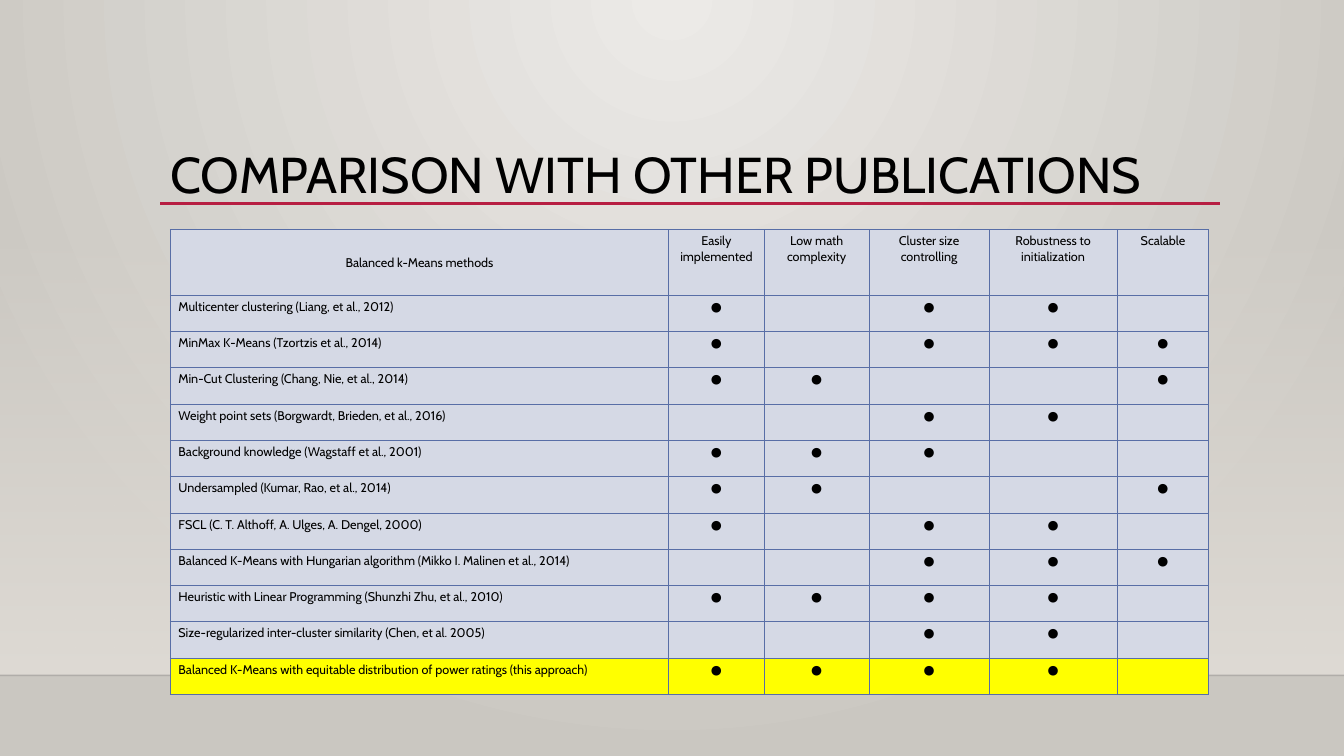
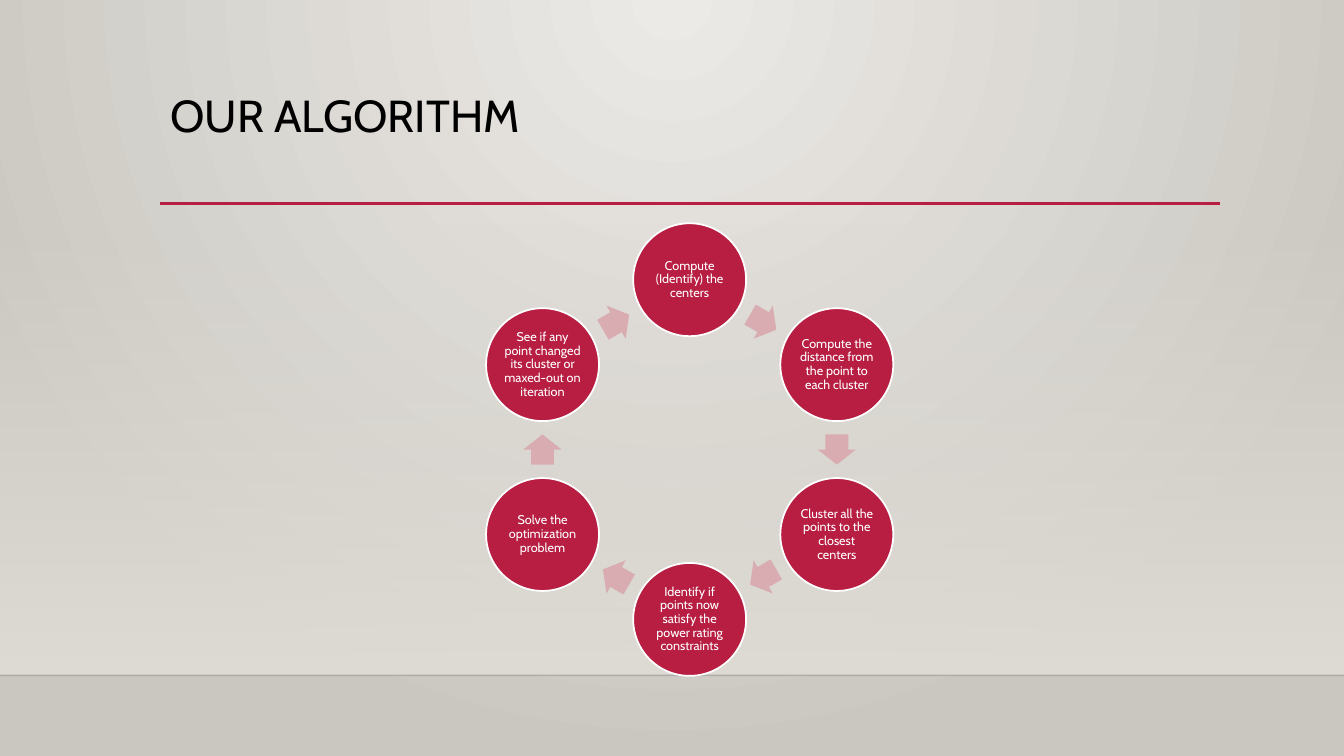
from math import cos, radians, sin

from lxml.etree import SubElement
from pptx import Presentation
from pptx.dml.color import RGBColor
from pptx.enum.shapes import MSO_CONNECTOR, MSO_SHAPE
from pptx.enum.text import MSO_ANCHOR as Anchor, PP_ALIGN as Align
from pptx.oxml.ns import qn
from pptx.util import Inches, Pt

FONT = "Cabin"
BLACK, WHITE = "000000", "FFFFFF"
CRIMSON, PINK = "B71E42", "D8ACB0"
CELL_FILL, CELL_BORDER, HIGHLIGHT = "D5D9E5", "586EA6", "FFFF00"
WALL_LIGHT, WALL_DARK, WALL_BAND = "ECEAE7", "CAC7C1", "DFDBD5"
WIDTH, HEIGHT = 13.33, 7.5
FLOOR_TOP = 6.7

COLUMN_WIDTHS = [4.94, 0.95, 1.04, 1.19, 1.27, 0.91]
HEADER_HEIGHT, ROW_HEIGHT = 0.65, 0.36
HEADERS = ["Balanced k-Means methods", "Easily implemented", "Low math complexity",
           "Cluster size controlling", "Robustness to initialization", "Scalable"]
# Each digit says whether the method has the property of that column.
METHODS = [
    ("Multicenter clustering (Liang, et al., 2012)", "10110"),
    ("MinMax K-Means (Tzortzis et al., 2014)", "10111"),
    ("Min-Cut Clustering (Chang, Nie, et al., 2014)", "11001"),
    ("Weight point sets (Borgwardt, Brieden, et al., 2016)", "00110"),
    ("Background knowledge (Wagstaff et al., 2001)", "11100"),
    ("Undersampled (Kumar, Rao, et al., 2014)", "11001"),
    ("FSCL (C. T. Althoff, A. Ulges, A. Dengel, 2000)", "10110"),
    ("Balanced K-Means with Hungarian algorithm (Mikko I. Malinen et al., 2014)", "00111"),
    ("Heuristic with Linear Programming (Shunzhi Zhu, et al., 2010)", "11110"),
    ("Size-regularized inter-cluster similarity (Chen, et al. 2005)", "00110"),
    ("Balanced K-Means with equitable distribution of power ratings (this approach)", "11110"),
]
STEPS = [
    "Compute (Identify) the centers",
    "Compute the distance from the point to each cluster",
    "Cluster all the points to the closest centers",
    "Identify if points now satisfy the power rating constraints",
    "Solve the optimization problem",
    "See if any point changed its cluster or maxed-out on iteration",
]


def rgb(color):
    return RGBColor.from_string(color)


def set_alpha(color_parent, percent):
    """Set the opacity of the RGB colour found under an XML element."""
    color = next(color_parent.iter(qn("a:srgbClr")))
    SubElement(color, qn("a:alpha")).set("val", str(percent * 1000))


def set_gradient(fill, *colors):
    """Give a fill a two-stop gradient and return its XML element."""
    fill.gradient()
    for stop, color in zip(fill.gradient_stops, colors):
        stop.color.rgb = rgb(color)
    return fill._xPr.find(qn("a:gradFill"))


def write(frame, text, size, color=BLACK, align=Align.LEFT, spacing=None):
    para = frame.paragraphs[0]
    para.alignment = align
    para.line_spacing = spacing
    span = para.add_run()
    span.text = text
    span.font.size = Pt(size)
    span.font.name = FONT
    span.font.color.rgb = rgb(color)


def set_margins(holder, horizontal, vertical):
    holder.margin_left = holder.margin_right = Inches(horizontal)
    holder.margin_top = holder.margin_bottom = Inches(vertical)


def add_shape(page, kind, left, top, width, height):
    shape = page.shapes.add_shape(kind, Inches(left), Inches(top), Inches(width), Inches(height))
    shape.shadow.inherit = False
    shape.line.fill.background()
    return shape


def add_rule(page, left, right, y, color, weight):
    rule = page.shapes.add_connector(MSO_CONNECTOR.STRAIGHT, Inches(left), Inches(y),
                                     Inches(right), Inches(y))
    rule.line.color.rgb = rgb(color)
    rule.line.width = Pt(weight)
    SubElement(rule._element.spPr, qn("a:effectLst"))
    return rule


def set_background(master):
    """Shade the master from a light spot at the top centre."""
    gradient = set_gradient(master.background.fill, WALL_LIGHT, WALL_DARK)
    gradient.remove(gradient.find(qn("a:lin")))
    spread = SubElement(gradient, qn("a:path"))
    spread.set("path", "circle")
    focus = SubElement(spread, qn("a:fillToRect"))
    for side, value in zip("ltrb", (43, 0, 43, 100)):
        focus.set(side, str(value * 1000))


def add_page(deck, title, size, anchor, bottom_margin):
    """Add a slide with the shared wall, floor line, title and rule."""
    page = deck.slides.add_slide(deck.slide_layouts[6])
    wall = add_shape(page, MSO_SHAPE.RECTANGLE, 0, 2.21, WIDTH, FLOOR_TOP - 2.21)
    gradient = set_gradient(wall.fill, WALL_BAND, WALL_BAND)
    wall.fill.gradient_angle = 270
    set_alpha(gradient, 0)
    floor_line = add_rule(page, 0, WIDTH, FLOOR_TOP, "000001", 1)
    set_alpha(floor_line._element.spPr, 20)
    add_rule(page, 1.59, 12.1, 2.02, CRIMSON, 2.5)

    box = page.shapes.add_textbox(Inches(1.59), Inches(0.88), Inches(10.5), Inches(1.15))
    frame = box.text_frame
    frame.word_wrap = True
    frame.vertical_anchor = anchor
    set_margins(frame, 0.1, 0.05)
    frame.margin_bottom = Inches(bottom_margin)
    write(frame, title, size, spacing=0.9)
    return page


def set_borders(cell):
    properties = cell._tc.get_or_add_tcPr()
    for index, side in enumerate(("a:lnL", "a:lnR", "a:lnT", "a:lnB")):
        line = properties.makeelement(qn(side), {"w": str(Pt(0.75))})
        color = SubElement(SubElement(line, qn("a:solidFill")), qn("a:srgbClr"))
        color.set("val", CELL_BORDER)
        properties.insert(index, line)


def fill_cell(cell, text, align, fill):
    set_margins(cell, 0.08, 0.04)
    cell.fill.solid()
    cell.fill.fore_color.rgb = rgb(fill)
    set_borders(cell)
    if text:
        write(cell.text_frame, text, 9, align=align)
    else:
        end = cell.text_frame.paragraphs[0]._p.get_or_add_endParaRPr()
        end.set("sz", "900")


def add_comparison(page):
    rows = [HEADERS]
    rows += [[name] + ["●" if flag == "1" else "" for flag in flags] for name, flags in METHODS]
    height = HEADER_HEIGHT + ROW_HEIGHT * len(METHODS)
    table = page.shapes.add_table(len(rows), len(HEADERS), Inches(1.69), Inches(2.28),
                                  Inches(sum(COLUMN_WIDTHS)), Inches(height)).table
    table.first_row = table.horz_banding = False
    for column, width in zip(table.columns, COLUMN_WIDTHS):
        column.width = Inches(width)
    for i, texts in enumerate(rows):
        table.rows[i].height = Inches(ROW_HEIGHT if i else HEADER_HEIGHT)
        fill = HIGHLIGHT if i == len(METHODS) else CELL_FILL
        for j, text in enumerate(texts):
            align = Align.LEFT if i and j == 0 else Align.CENTER
            fill_cell(table.cell(i, j), text, align, fill)
    table.cell(0, 0).vertical_anchor = Anchor.MIDDLE


def add_step(page, x, y, text):
    size = 1.12
    circle = add_shape(page, MSO_SHAPE.OVAL, x - size / 2, y - size / 2, size, size)
    circle.fill.solid()
    circle.fill.fore_color.rgb = rgb(CRIMSON)
    circle.line.color.rgb = rgb(WHITE)
    circle.line.width = Pt(1.25)
    frame = circle.text_frame
    frame.word_wrap = True
    frame.vertical_anchor = Anchor.MIDDLE
    set_margins(frame, 0.01, 0.01)
    write(frame, text, 9, WHITE, Align.CENTER, 0.9)


def add_arrow(page, x, y, rotation):
    width, height = 0.3, 0.38
    arrow = add_shape(page, MSO_SHAPE.RIGHT_ARROW, x - width / 2, y - height / 2, width, height)
    arrow.adjustments[0] = 0.6
    arrow.adjustments[1] = 0.5
    arrow.rotation = rotation
    arrow.fill.solid()
    arrow.fill.fore_color.rgb = rgb(PINK)


def add_cycle(page, steps):
    """Place the steps clockwise on a ring, with an arrow after each."""
    center_x, center_y, radius = 6.84, 4.46, 1.685 
    turn = 360 / len(steps)
    arrow_radius = radius * cos(radians(turn / 2))

    def on_ring(angle, distance):
        return (center_x + distance * sin(radians(angle)),
                center_y - distance * cos(radians(angle)))

    for i, text in enumerate(steps):
        add_step(page, *on_ring(i * turn, radius), text)
        middle = (i + 0.5) * turn
        add_arrow(page, *on_ring(middle, arrow_radius), middle % 360)


def main():
    deck = Presentation()
    deck.slide_width, deck.slide_height = Inches(WIDTH), Inches(HEIGHT)
    set_background(deck.slide_master)
    add_comparison(add_page(deck, "COMPARISON WITH OTHER PUBLICATIONS", 36, Anchor.BOTTOM, 0))
    add_cycle(add_page(deck, "OUR ALGORITHM", 32, Anchor.TOP, 0.05), STEPS)
    deck.save("out.pptx")


if __name__ == "__main__":
    main()
